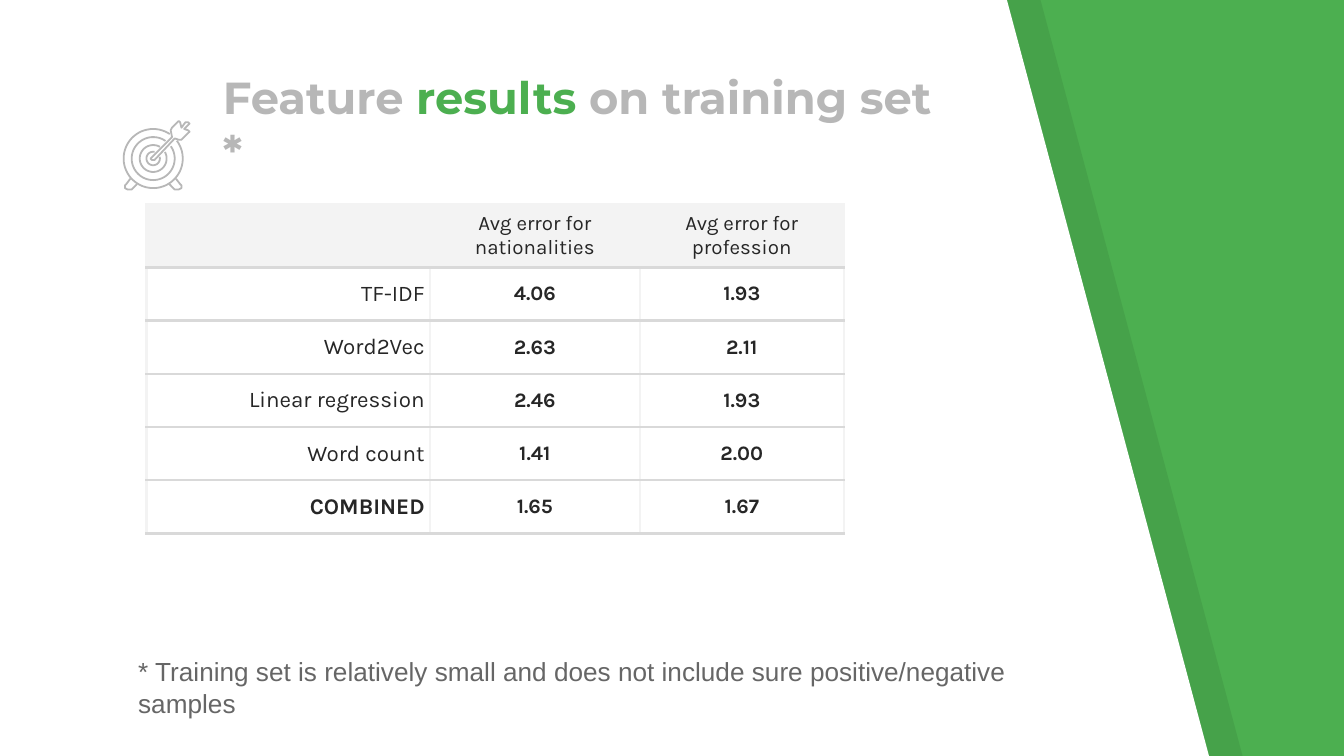
import math
from lxml import etree
from pptx import Presentation
from pptx import util as u
from pptx.dml.color import RGBColor
from pptx.enum import text
from pptx.oxml import ns

COLORS = {"green": "4CAF50", "white": "FFFFFF", "black": "000000", "gray": "B7B7B7",
          "ink": "262626", "note": "666666", "header": "F3F3F3", "rule": "D9D9D9"}
LEFT, CENTER, RIGHT = text.PP_ALIGN.LEFT, text.PP_ALIGN.CENTER, text.PP_ALIGN.RIGHT


def rgb(name):
    """Look up a palette colour."""
    return RGBColor.from_string(COLORS[name])


def write(tf, runs, size, font, color, bold=False, align=LEFT, anchor="TOP", inset=0.1, inset_y=None):
    """Fill a text frame or cell with one paragraph; runs is a string or (string, colour) pairs."""
    tf.margin_left = tf.margin_right = u.Inches(inset)
    tf.margin_top = tf.margin_bottom = u.Inches(inset if inset_y is None else inset_y)
    tf.vertical_anchor = getattr(text.MSO_ANCHOR, anchor)
    p = getattr(tf, "text_frame", tf).paragraphs[0]
    p.alignment = align
    for content, run_color in [(runs, color)] if isinstance(runs, str) else runs:
        r = p.add_run()
        r.text = content
        r.font.size, r.font.name, r.font.bold = u.Pt(size), font, bold
        r.font.color.rgb = rgb(run_color)


def add_text(s, x, y, w, h, runs, **fmt):
    """Add a wrapping text box."""
    tf = s.shapes.add_textbox(*map(u.Inches, (x, y, w, h))).text_frame
    tf.word_wrap = True
    write(tf, runs, **fmt)


def outline(parent, x, y, points, close=True, fill=None, line=None):
    """Draw a polygon or open polyline from points relative to x, y."""
    pts = [(u.Inches(x + px), u.Inches(y + py)) for px, py in points]
    fb = parent.build_freeform(*pts[0])
    fb.add_line_segments(pts[1:], close=close)
    sp = fb.convert_to_shape()
    sp.shadow.inherit = False
    if fill:
        sp.fill.solid()
        sp.fill.fore_color.rgb = rgb(fill)
    else:
        sp.fill.background()
    if line:
        sp.line.color.rgb = rgb(line)
        sp.line.width = u.Pt(0.96)
    else:
        sp.line.fill.background()
    return sp


def backdrop(s, x, y, w, h):
    """Paint the green ground, its darker slanted band and the white page."""
    s.background.fill.solid()
    s.background.fill.fore_color.rgb = rgb("green")
    for offset, color in ((0.25, "black"), (0, "white")):
        page = [(0, 0), (0, h), (w, h), (w - 1.51, 0)]
        sp = outline(s.shapes, x + offset, y, page, fill=color)
        if color == "black":
            clr = sp.fill._xPr.find(".//" + ns.qn("a:srgbClr"))
            etree.SubElement(clr, ns.qn("a:alpha"), val="7000")


def target_icon(s, x, y):
    """Draw a target on two feet with a dart in it."""
    shapes = s.shapes.add_group_shape().shapes
    cx, cy = 0.22, 0.28
    for radius, start, end in ((0.22, 56, 37), (0.16, 55, 35), (0.1, 60, 29), (0.05, 78, 14)):
        angles = [math.radians(start + (360 + end - start) * i / 60) for i in range(61)]
        arc = [(cx + radius * math.cos(a), cy - radius * math.sin(a)) for a in angles]
        outline(shapes, x, y, arc, close=False, line="gray")
    foot = [(0.05, 0.43), (0.02, 0.47), (0.01, 0.48), (0.01, 0.5), (0.03, 0.51),
            (0.04, 0.51), (0.06, 0.51), (0.1, 0.47)]
    for points in (foot, [(2 * cx - px, py) for px, py in foot]):
        outline(shapes, x, y, points, close=False, line="gray")
    dart = [(0.48, 0.07), (0.45, 0.06), (0.48, 0.03), (0.49, 0.02), (0.48, 0.01), (0.46, 0.01),
            (0.43, 0.05), (0.42, 0.01), (0.41, 0), (0.36, 0.05), (0.35, 0.07), (0.36, 0.12),
            (0.21, 0.27), (0.2, 0.28), (0.21, 0.29), (0.23, 0.29), (0.38, 0.13), (0.41, 0.14),
            (0.43, 0.14), (0.49, 0.08)]
    outline(shapes, x, y, dart, line="gray")


def border(cell, side, color):
    """Set one 1.5 point cell border; side is L, R, T or B."""
    ln = etree.SubElement(cell._tc.get_or_add_tcPr(), ns.qn("a:ln" + side), w=str(u.Pt(1.5)))
    fill = etree.SubElement(ln, ns.qn("a:solidFill"))
    etree.SubElement(fill, ns.qn("a:srgbClr"), val=COLORS[color])


def results_table(s, x, y, h, rows):
    """Build the table of average errors, header row first, the rest sharing the height."""
    widths, head, body = [2.11, 1.56, 1.52], 0.47, len(rows) - 1
    heights = [head] + [(h - head) / body] * body
    box = map(u.Inches, (x, y, sum(widths), h))
    tbl = s.shapes.add_table(len(rows), len(widths), *box).table
    tbl.first_row = tbl.horz_banding = False
    for col, width in zip(tbl.columns, widths):
        col.width = u.Inches(width)
    for i, (row, height) in enumerate(zip(rows, heights)):
        tbl.rows[i].height = u.Inches(height)
        for j, value in enumerate(row):
            cell, label = tbl.cell(i, j), j == 0
            for side in "LRTB":
                border(cell, side, "rule" if side == "B" or side == "T" and i else "header")
            if i:
                cell.fill.background()
            else:
                cell.fill.solid()
                cell.fill.fore_color.rgb = rgb("header")
            if value:
                write(cell, value, size=12 if i and label else 11, font="Karla", color="ink",
                      bold=i > 0 and not label or value == "COMBINED",
                      align=RIGHT if label else CENTER, anchor="MIDDLE", inset=0.04)


def results_slide(prs):
    """Compose the feature results slide."""
    s = prs.slides.add_slide(prs.slide_layouts[6])
    backdrop(s, 0, -0.01, 9, 5.65)
    add_text(s, 1.56, 0.97, 5.61, 0.45,
             [("Feature ", "gray"), ("results", "green"), (" on training set *", "gray")],
             size=24, font="Montserrat", color="gray", bold=True, anchor="BOTTOM")
    results_table(s, 1.09, 1.52, 2.45, [
        ("", "Avg error for nationalities", "Avg error for profession"),
        ("TF-IDF", "4.06", "1.93"),
        ("Word2Vec", "2.63", "2.11"),
        ("Linear regression", "2.46", "1.93"),
        ("Word count", "1.41", "2.00"),
        ("COMBINED", "1.65", "1.67")])
    target_icon(s, 0.92, 0.9)
    add_text(s, 0.93, 4.83, 7.43, 0.34,
             "* Training set is relatively small and does not include sure positive/negative samples",
             size=14, font="Arial", color="note", inset_y=0.05)


prs = Presentation()
prs.slide_width = u.Inches(10)
prs.slide_height = prs.slide_width * 9 // 16
results_slide(prs)
prs.save("out.pptx")
